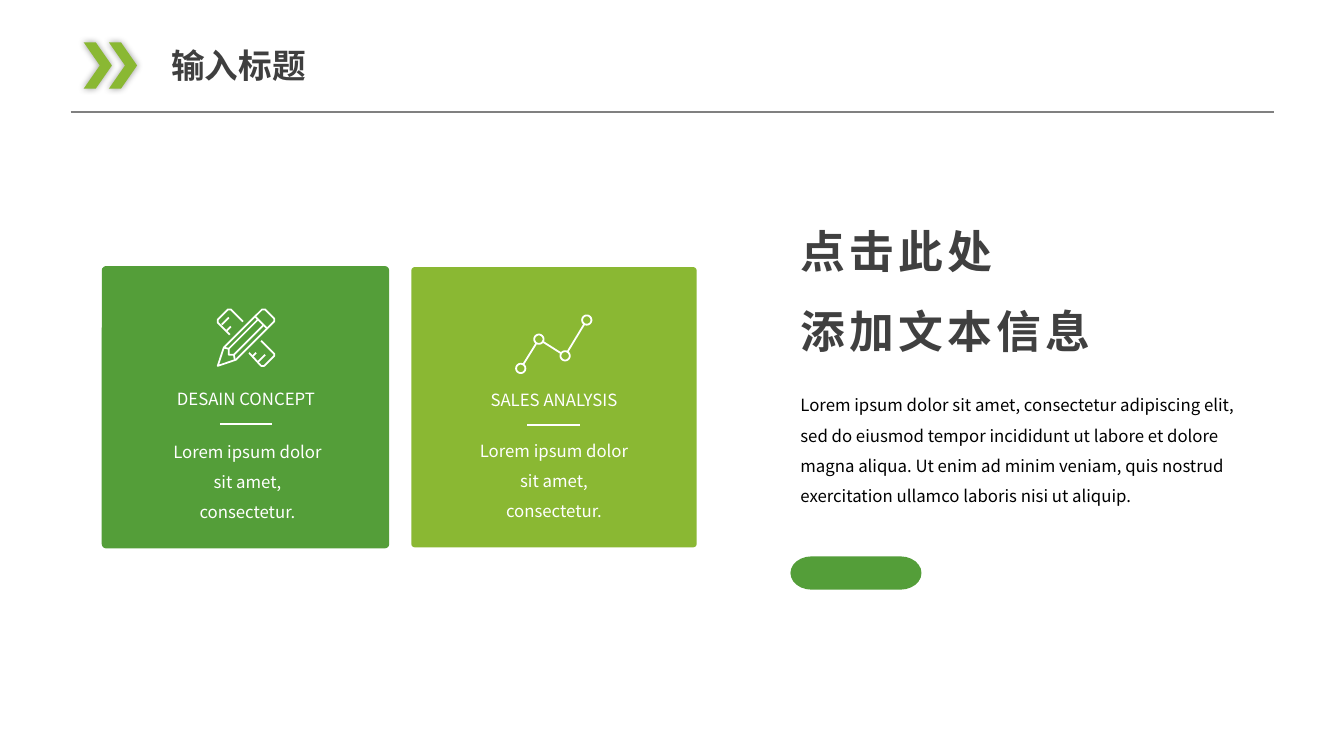
from math import cos, hypot, pi, sin
from itertools import pairwise
from pptx import Presentation
from pptx.dml.color import RGBColor
from pptx.enum.shapes import MSO_CONNECTOR, MSO_SHAPE
from pptx.enum.text import MSO_ANCHOR, MSO_AUTO_SIZE, PP_ALIGN
from pptx.oxml.ns import qn
from pptx.oxml.xmlchemy import OxmlElement
from pptx.util import Pt

PX = 9144
FINE = 20
FONT = "Noto Sans CJK SC"
GREEN, LIME, WHITE = "549E39", "8AB833", "FFFFFF"

TITLE = "输入标题"
HEADLINE = ["点击此处", "添加文本信息"]
INTRO = ("Lorem ipsum dolor sit amet, consectetur adipiscing elit, sed do eiusmod "
         "tempor incididunt ut labore et dolore magna aliqua. Ut enim ad minim veniam, "
         "quis nostrud exercitation ullamco laboris nisi ut aliquip.")
CARD_TEXT = "Lorem ipsum dolor sit amet, consectetur."
CARDS = [
    ("DESAIN CONCEPT", GREEN, GREEN, (161, 381, 166, 30), (218, 421), (153, 423, 185, 97)),
    ("SALES ANALYSIS", LIME, None, (473, 382, 153, 30), (523, 422), (457, 422, 185, 97)),
]
CARD_LEFT, CARD_TOP, CARD_WIDTH, CARD_HEIGHT, CARD_PITCH = 102, 265, 283, 278, 306
DIVIDER_WIDTH = 52

CHEVRON = [(16, 23), (0, 46), (12, 46), (28, 23), (12, 0), (0, 0)]
CHEVRON_LEFTS, CHEVRON_TOP = (108, 83), 42
TREND = [(516.5, 365.5), (534.5, 336.5), (560.5, 353), (582, 317.5)]
NODE_OUTER, NODE_INNER, BAR_HALF = 5.5, 3.7, 0.9
TOP_RULER = [
    [(241, 319), (229, 307), (226, 307), (216, 317), (216, 320), (228, 332)],
    [(220, 322), (227, 315)],
    [(225, 328), (229, 324)],
]
BOTTOM_RULER = [
    [(259, 338), (272, 351), (272, 353), (262, 363), (259, 363), (247, 350)],
    [(250, 354), (254, 350)],
    [(256, 359), (263, 352)],
]
PENCIL = [
    [(216, 363), (222, 345), (260, 307), (263, 307), (272, 316), (272, 319),
     (234, 357), (216, 363)],
    [(222, 345), (227, 346), (227, 352), (232, 352), (233, 357)],
    [(227, 346), (256, 317)],
    [(232, 352), (261, 323)],
    [(253, 314), (265, 326)],
]


def color(value):
    return RGBColor.from_string(value)


def box(*lengths):
    return [length * PX for length in lengths]


def paint(shape, fill=None, outline=None, width=1.5):
    shape.shadow.inherit = False
    if fill:
        shape.fill.solid()
        shape.fill.fore_color.rgb = color(fill)
    else:
        shape.fill.background()
    if outline:
        shape.line.color.rgb = color(outline)
        shape.line.width = Pt(width)
    else:
        shape.line.fill.background()


def add_rule(start, end, stroke, width):
    rule = slide.shapes.add_connector(MSO_CONNECTOR.STRAIGHT, *box(*start, *end))
    rule.line.color.rgb = color(stroke)
    rule.line.width = Pt(width)
    rule._element.spPr.append(OxmlElement("a:effectLst"))


def add_outline(contours, closed):
    fine = [[(x * FINE, y * FINE) for x, y in contour] for contour in contours]
    builder = slide.shapes.build_freeform(*fine[0][0], scale=PX / FINE)
    for index, (start, *rest) in enumerate(fine):
        if index:
            builder.move_to(*start)
        builder.add_line_segments(rest, close=closed)
    return builder.convert_to_shape()


def write(holder, lines, size, ink, align=PP_ALIGN.LEFT, wrap=True, bold=False,
          leading=None, tracking=None):
    frame = holder.text_frame
    frame.text = "\n".join(lines)
    frame.word_wrap = wrap
    frame.auto_size = MSO_AUTO_SIZE.NONE
    frame.vertical_anchor = MSO_ANCHOR.TOP
    for paragraph in frame.paragraphs:
        paragraph.alignment = align
        if leading:
            paragraph.line_spacing = leading
        font = paragraph.font
        font.name, font.size, font.bold = FONT, Pt(size), bold
        font.color.rgb = color(ink)
        properties = paragraph._p.pPr.find(qn("a:defRPr"))
        east_asian = OxmlElement("a:ea")
        east_asian.set("typeface", FONT)
        properties.find(qn("a:latin")).addnext(east_asian)
        if tracking:
            properties.set("spc", str(tracking * 100))


def add_text(bounds, lines, size, ink, **style):
    write(slide.shapes.add_textbox(*box(*bounds)), lines, size, ink, **style)


def add_chevron(left):
    chevron = add_outline([[(left + x, CHEVRON_TOP + y) for x, y in CHEVRON]], True)
    paint(chevron, LIME)
    shadow = OxmlElement("a:outerShdw")
    shadow.set("blurRad", str(Pt(5)))
    shade = OxmlElement("a:srgbClr")
    shade.set("val", "000000")
    alpha = OxmlElement("a:alpha")
    alpha.set("val", "40000")
    shade.append(alpha)
    shadow.append(shade)
    chevron._element.spPr.find(qn("a:effectLst")).append(shadow)


def add_card(left, label, fill, outline, label_bounds, divider, text_bounds):
    card = slide.shapes.add_shape(
        MSO_SHAPE.ROUNDED_RECTANGLE, *box(left, CARD_TOP, CARD_WIDTH, CARD_HEIGHT))
    card.adjustments[0] = 0.012
    paint(card, fill, outline)
    add_text(label_bounds, [label], 12, WHITE, align=PP_ALIGN.CENTER, wrap=False)
    x, y = divider
    add_rule((x, y), (x + DIVIDER_WIDTH, y), WHITE, 1.5)
    add_text(text_bounds, [CARD_TEXT], 12, WHITE, align=PP_ALIGN.CENTER, leading=1.5)


def circle(center, radius, turn):
    x, y = center
    angles = [turn * step * pi / 16 for step in range(32)]
    return [(x + radius * cos(angle), y + radius * sin(angle)) for angle in angles]


def bar(start, end):
    (x1, y1), (x2, y2) = start, end
    length = hypot(x2 - x1, y2 - y1)
    ux, uy = (x2 - x1) / length, (y2 - y1) / length
    corners = [(NODE_OUTER, 1), (length - NODE_OUTER, 1),
               (length - NODE_OUTER, -1), (NODE_OUTER, -1)]
    return [(x1 + ux * along - uy * side * BAR_HALF, y1 + uy * along + ux * side * BAR_HALF)
            for along, side in corners]


def add_trend_icon():
    rings = [circle(node, radius, turn) for node in TREND
             for radius, turn in ((NODE_OUTER, 1), (NODE_INNER, -1))]
    bars = [bar(start, end) for start, end in pairwise(TREND)]
    paint(add_outline(rings + bars, True), WHITE)


deck = Presentation()
deck.slide_width, deck.slide_height = box(1333, 750)
slide = deck.slides.add_slide(deck.slide_layouts[5])

title = slide.shapes.title
title.left, title.top, title.width, title.height = box(160, 40, 219, 50)
write(title, [TITLE], 24, "3F3F3F", bold=True)
add_rule((70, 111), (1264, 111), "808080", 1)
for chevron_left in CHEVRON_LEFTS:
    add_chevron(chevron_left)

for index, card_content in enumerate(CARDS):
    add_card(CARD_LEFT + index * CARD_PITCH, *card_content)
for tool in (TOP_RULER, BOTTOM_RULER, PENCIL):
    paint(add_outline(tool, False), None, WHITE, 1.25)
add_trend_icon()

add_text((784, 190, 315, 162), HEADLINE, 32, "404040",
         wrap=False, bold=True, leading=1.5, tracking=3)
add_text((784, 377, 457, 127), [INTRO], 12, "000000", leading=1.5)
button = slide.shapes.add_shape(MSO_SHAPE.FLOWCHART_TERMINATOR, *box(784, 552, 130, 33))
paint(button, GREEN)

deck.save("out.pptx")
